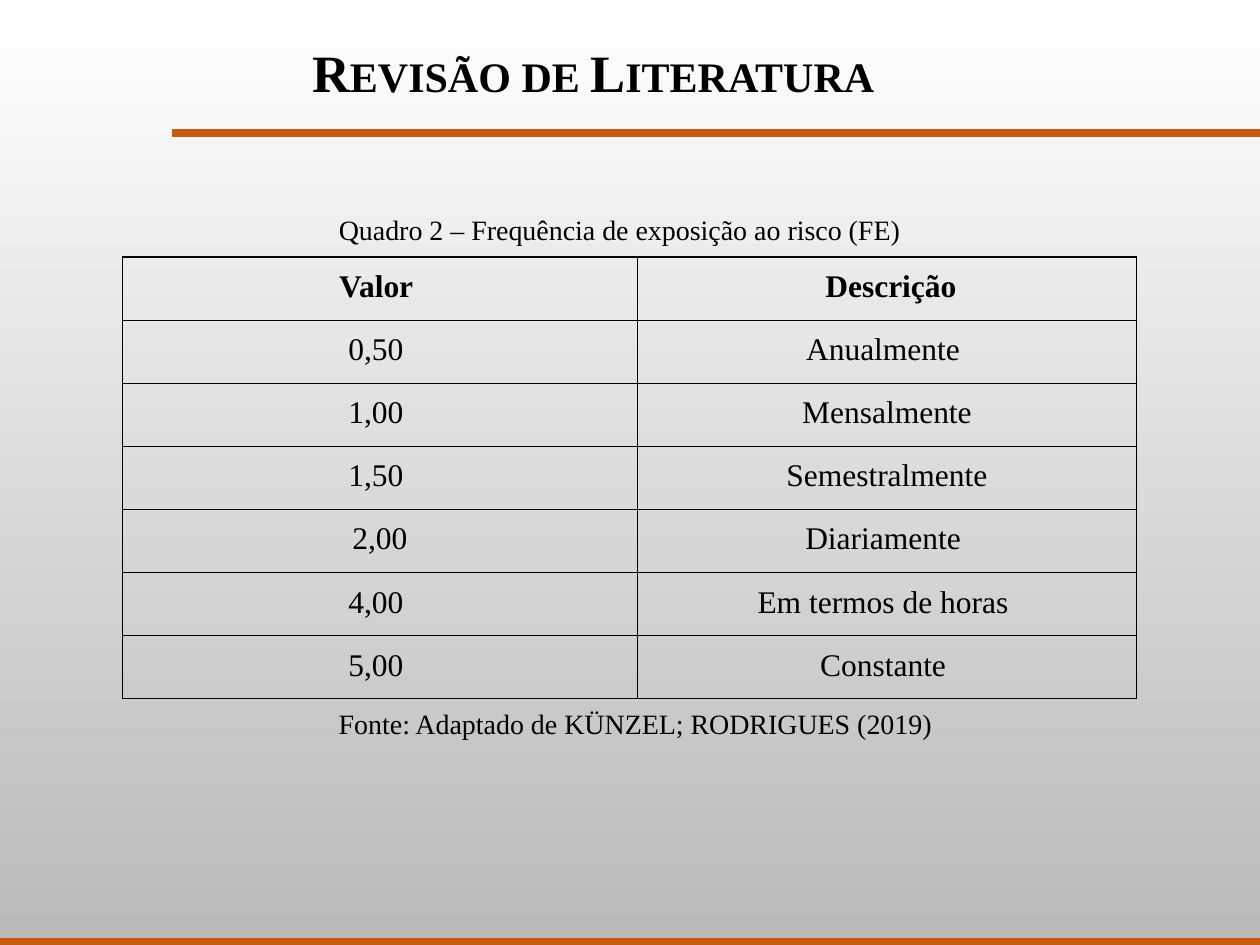
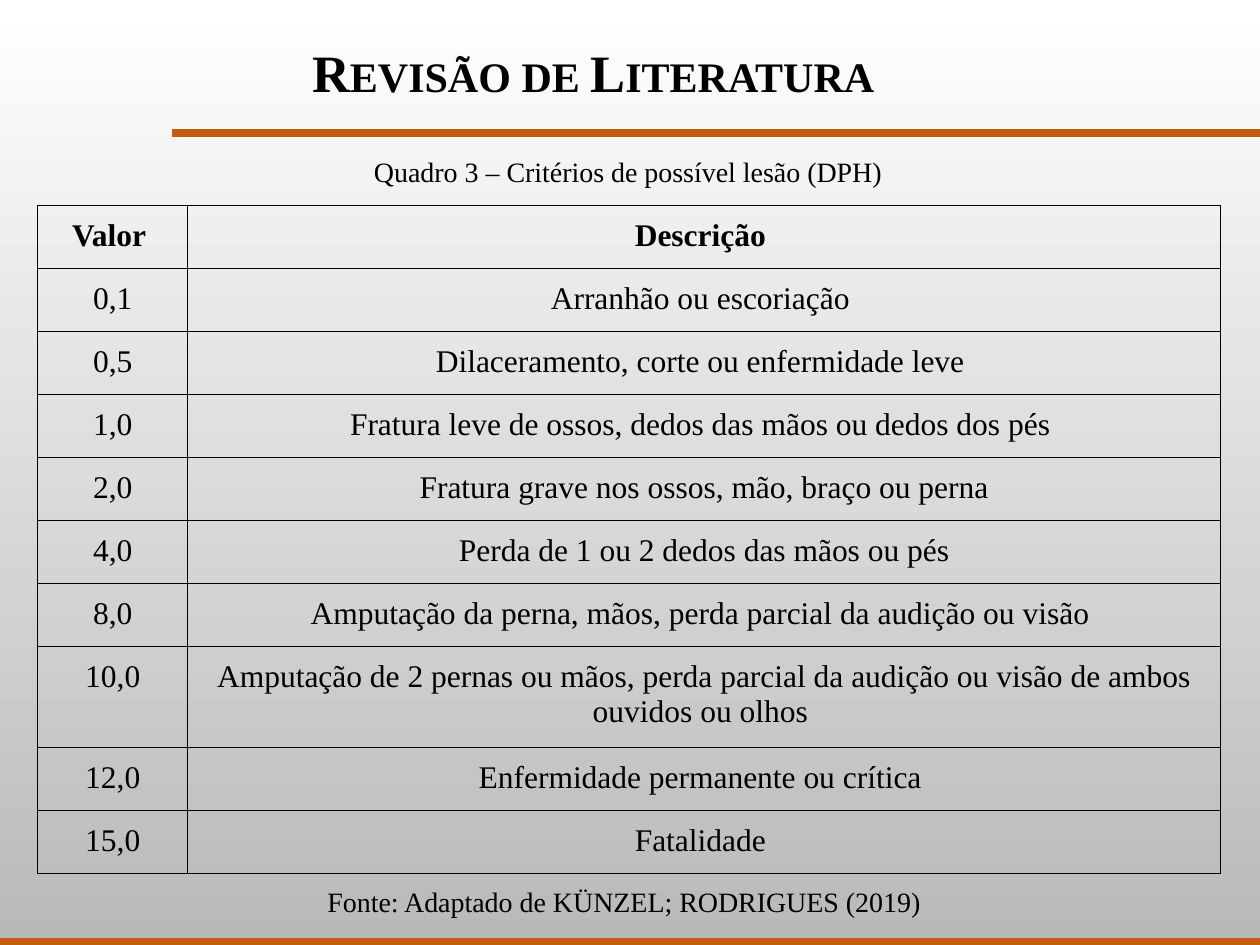
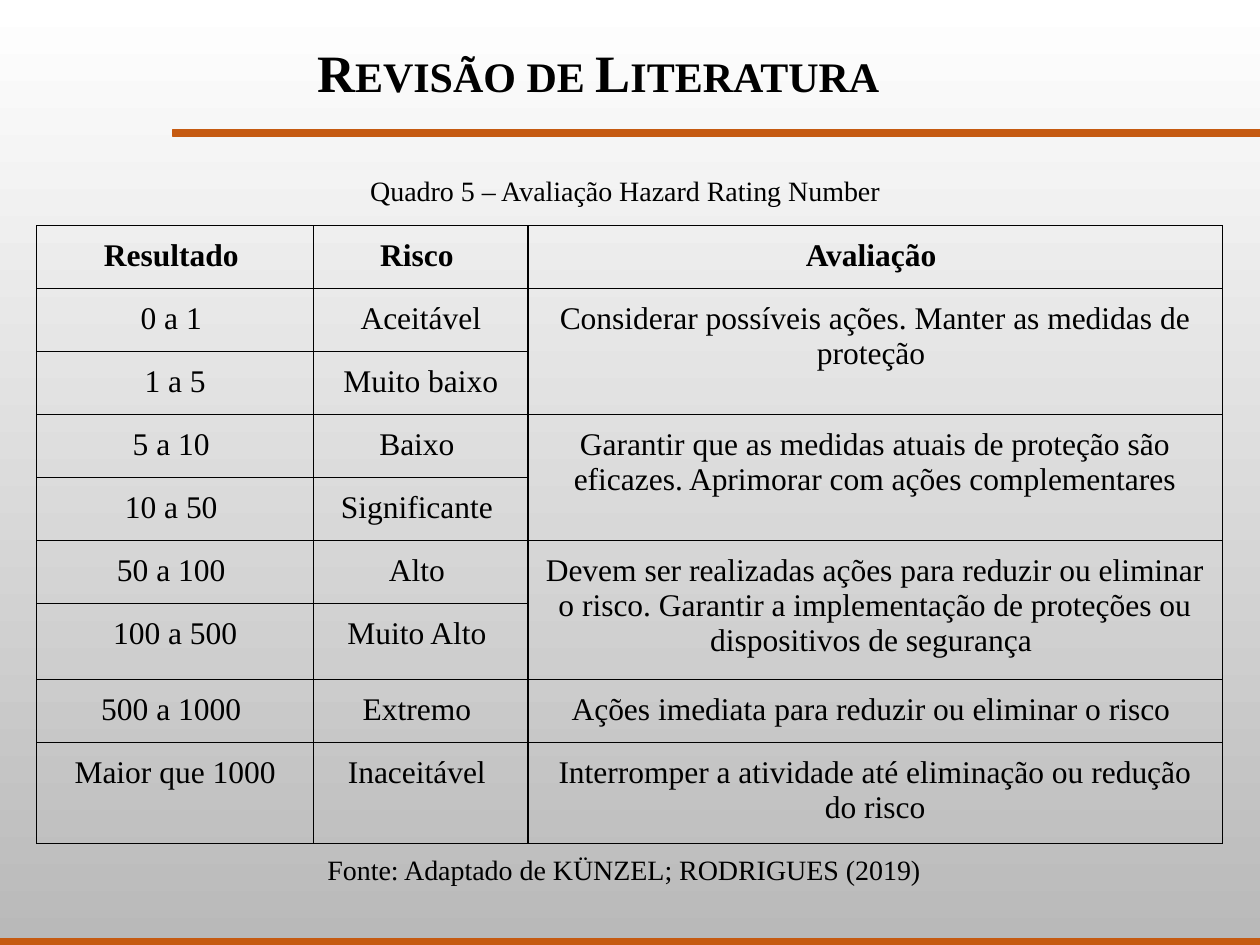
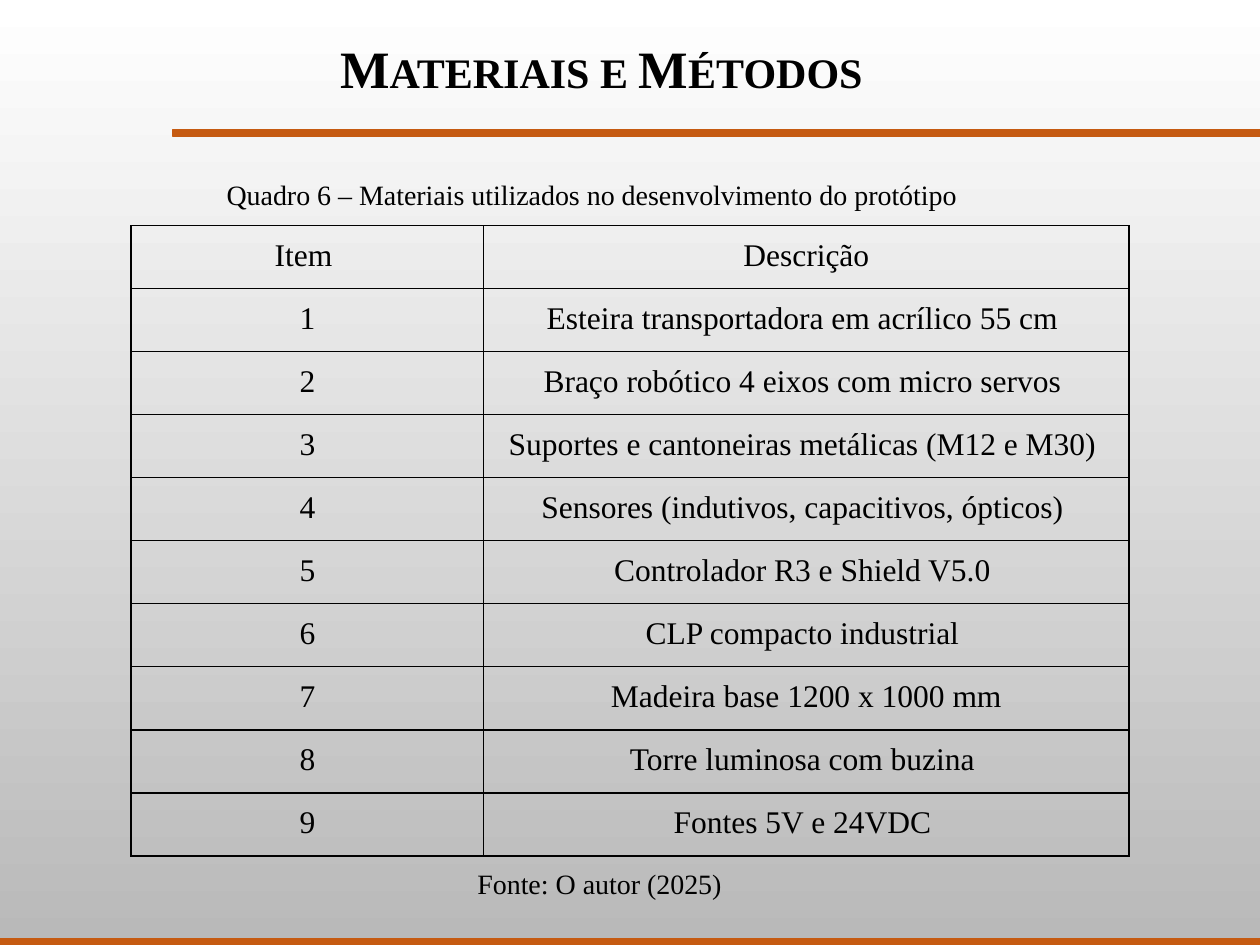
from dataclasses import dataclass, field
from typing import Optional

from lxml.etree import SubElement
from pptx import Presentation
from pptx.dml.color import RGBColor
from pptx.enum.shapes import MSO_SHAPE as SHAPE
from pptx.enum.text import MSO_ANCHOR as ANCHOR, MSO_AUTO_SIZE as AUTO, PP_ALIGN as ALIGN
from pptx.oxml.ns import qn
from pptx.slide import Slide
from pptx.table import Table, _Cell as Cell
from pptx.text.text import TextFrame
from pptx.util import Pt

PX = 9144  # 100 px to the inch
FONT = "Times New Roman"
BLACK = RGBColor(0x00, 0x00, 0x00)
WHITE = RGBColor(0xFF, 0xFF, 0xFF)
GREY = RGBColor(0xB9, 0xB9, 0xB9)
ORANGE = RGBColor(0xC5, 0x5A, 0x11)

INSET = 10
ROW_H = 42
TALL_ROW_H = 50
BANDS = [(0, 745, 1000, 5), (137, 103, 863, 5)]
SOURCE = "Fonte: Adaptado de KÜNZEL; RODRIGUES (2019)"
REVIEW = "Revisão de Literatura "


@dataclass
class Label:
    text: str
    left: int
    top: int
    width: int
    height: int = 47


@dataclass
class Grid:
    """A bordered table; None in a row joins the cell to the one above."""
    left: int
    top: int
    cols: list[int]
    rows: list[tuple[Optional[str], ...]]
    row_h: int = ROW_H
    row_heights: dict[int, int] = field(default_factory=dict)
    bold_head: bool = True


@dataclass
class Page:
    title: Label
    caption: Label
    grid: Grid
    source: Label


PAGES = [
    Page(
        Label(REVIEW, 213, 26, 524, 61),
        Label("Quadro 2 – Frequência de exposição ao risco (FE)", 259, 159, 482),
        Grid(97, 204, [409, 396], [
            ("Valor ", " Descrição"),
            ("0,50 ", "Anualmente "),
            ("1,00 ", "Mensalmente"),
            ("1,50 ", "Semestralmente"),
            (" 2,00 ", "Diariamente "),
            ("4,00 ", "Em termos de horas "),
            ("5,00 ", "Constante "),
        ]),
        Label(SOURCE, 259, 551, 500),
    ),
    Page(
        Label(REVIEW, 213, 26, 524, 61),
        Label("Quadro 3 – Critérios de possível lesão (DPH)", 287, 113, 426),
        Grid(30, 163, [119, 820], [
            ("Valor ", "Descrição "),
            ("0,1", "Arranhão ou escoriação "),
            ("0,5", "Dilaceramento, corte ou enfermidade leve "),
            ("1,0", "Fratura leve de ossos, dedos das mãos ou dedos dos pés "),
            ("2,0", "Fratura grave nos ossos, mão, braço ou perna"),
            ("4,0", "Perda de 1 ou 2 dedos das mãos ou pés"),
            ("8,0", "Amputação da perna, mãos, perda parcial da audição ou visão "),
            ("10,0", "Amputação de 2 pernas ou mãos, perda parcial da audição "
                     "ou visão de ambos ouvidos ou olhos "),
            ("12,0", "Enfermidade permanente ou crítica "),
            ("15,0", "Fatalidade "),
        ], TALL_ROW_H, {7: 80}),
        Label(SOURCE, 250, 692, 499),
    ),
    Page(
        Label(REVIEW, 217, 26, 524, 61),
        Label("Quadro 5 – Avaliação Hazard Rating Number", 284, 128, 433),
        Grid(29, 179, [220, 170, 551], [
            ("Resultado ", "Risco ", "Avaliação "),
            ("0 a 1 ", "Aceitável",
             "Considerar possíveis ações. Manter as medidas de proteção "),
            ("1 a 5", "Muito baixo", None),
            ("5 a 10 ", "Baixo ",
             "Garantir que as medidas atuais de proteção são eficazes. "
             "Aprimorar com ações complementares"),
            ("10 a 50 ", "Significante ", None),
            ("50 a 100 ", "Alto ",
             "Devem ser realizadas ações para reduzir ou eliminar o risco. "
             "Garantir a implementação de proteções ou dispositivos de segurança "),
            ("100 a 500", "Muito Alto ", None),
            ("500 a 1000 ", "Extremo ", "Ações imediata para reduzir ou eliminar o risco "),
            ("Maior que 1000", "Inaceitável ",
             "Interromper a atividade até eliminação ou redução do risco"),
        ], row_heights={6: 55}),
        Label(SOURCE, 250, 667, 500),
    ),
    Page(
        Label("Materiais e Métodos ", 240, 23, 483, 61),
        Label("Quadro 6 – Materiais utilizados no desenvolvimento do protótipo", 170, 131, 624),
        Grid(104, 179, [280, 512], [
            ("Item ", "Descrição"),
            ("1", "Esteira transportadora em acrílico 55 cm "),
            ("2", "Braço robótico 4 eixos com micro servos "),
            ("3", "Suportes e cantoneiras metálicas (M12 e M30) "),
            ("4", "Sensores (indutivos, capacitivos, ópticos) "),
            ("5", "Controlador R3 e Shield V5.0 "),
            ("6", "CLP compacto industrial "),
            ("7", "Madeira base 1200 x 1000 mm"),
            ("8", "Torre luminosa com buzina "),
            ("9", "Fontes 5V e 24VDC "),
        ], TALL_ROW_H, bold_head=False),
        Label("Fonte: O autor (2025)", 369, 678, 226),
    ),
]


def px(*values: int) -> list[int]:
    return [v * PX for v in values]


def write(tf: TextFrame, text: str, *, size: int, bold: bool = False,
          small_caps: bool = False, align: ALIGN = ALIGN.LEFT) -> None:
    p = tf.paragraphs[0]
    p.alignment = align
    r = p.add_run()
    r.text = text
    r.font.name = FONT
    r.font.size = Pt(size)
    r.font.bold = bold
    r.font.color.rgb = BLACK
    if small_caps:
        r.font._element.set("cap", "small")


def set_insets(box: TextFrame | Cell, x: int, y: int) -> None:
    box.margin_left = box.margin_right = x * PX
    box.margin_top = box.margin_bottom = y * PX


def add_title(slide: Slide, label: Label) -> None:
    sp = slide.shapes.title
    sp.left, sp.top, sp.width, sp.height = px(label.left, label.top, label.width, label.height)
    tf = sp.text_frame
    tf.word_wrap = True
    tf.auto_size = AUTO.NONE
    tf.vertical_anchor = ANCHOR.MIDDLE
    set_insets(tf, INSET, 5)
    write(tf, label.text, size=30, bold=True, small_caps=True, align=ALIGN.CENTER)


def add_bands(slide: Slide) -> None:
    for band in BANDS:
        sp = slide.shapes.add_shape(SHAPE.RECTANGLE, *px(*band))
        sp.shadow.inherit = False
        sp.fill.solid()
        sp.fill.fore_color.rgb = ORANGE
        sp.line.color.rgb = ORANGE
        sp.line.width = Pt(1)


def add_label(slide: Slide, label: Label) -> None:
    box = px(label.left, label.top, label.width, label.height)
    tf = slide.shapes.add_textbox(*box).text_frame
    tf.word_wrap = True
    tf.auto_size = AUTO.SHAPE_TO_FIT_TEXT
    set_insets(tf, INSET, INSET)
    write(tf, label.text, size=16)


def set_borders(cell: Cell) -> None:
    """Insert the four edges ahead of the cell's fill, as the schema asks."""
    tc_pr = cell._tc.get_or_add_tcPr()
    for i, side in enumerate(("lnL", "lnR", "lnT", "lnB")):
        ln = SubElement(tc_pr, qn(f"a:{side}"), w=str(Pt(0.75)))
        tc_pr.insert(i, ln)
        fill = SubElement(ln, qn("a:solidFill"))
        SubElement(fill, qn("a:srgbClr"), val=str(BLACK))


def fill_cell(table: Table, row: int, col: int, text: Optional[str], bold: bool) -> None:
    cell = table.cell(row, col)
    set_insets(cell, INSET, INSET)
    cell.fill.background()
    set_borders(cell)
    if text is None:
        table.cell(row - 1, col).merge(cell)
    else:
        write(cell.text_frame, text, size=18, bold=bold, align=ALIGN.CENTER)


def add_grid(slide: Slide, grid: Grid) -> None:
    heights = [grid.row_heights.get(i, grid.row_h) for i in range(len(grid.rows))]
    box = px(grid.left, grid.top, sum(grid.cols), sum(heights))
    table = slide.shapes.add_table(len(heights), len(grid.cols), *box).table
    table.first_row = table.horz_banding = False
    for column, width in zip(table.columns, grid.cols):
        column.width = width * PX
    for i, (height, texts) in enumerate(zip(heights, grid.rows)):
        table.rows[i].height = height * PX
        for j, text in enumerate(texts):
            fill_cell(table, i, j, text, bold=grid.bold_head and i == 0)


def main() -> None:
    prs = Presentation()
    prs.slide_width, prs.slide_height = px(1000, 750)
    fill = prs.slide_master.background.fill
    fill.gradient()
    fill.gradient_angle = 270
    for stop, position, color in zip(fill.gradient_stops, (0, 1), (WHITE, GREY)):
        stop.position = position
        stop.color.rgb = color

    for page in PAGES:
        slide = prs.slides.add_slide(prs.slide_layouts[5])
        add_title(slide, page.title)
        add_bands(slide)
        add_label(slide, page.caption)
        add_grid(slide, page.grid)
        add_label(slide, page.source)
    prs.save("out.pptx")


if __name__ == "__main__":
    main()
